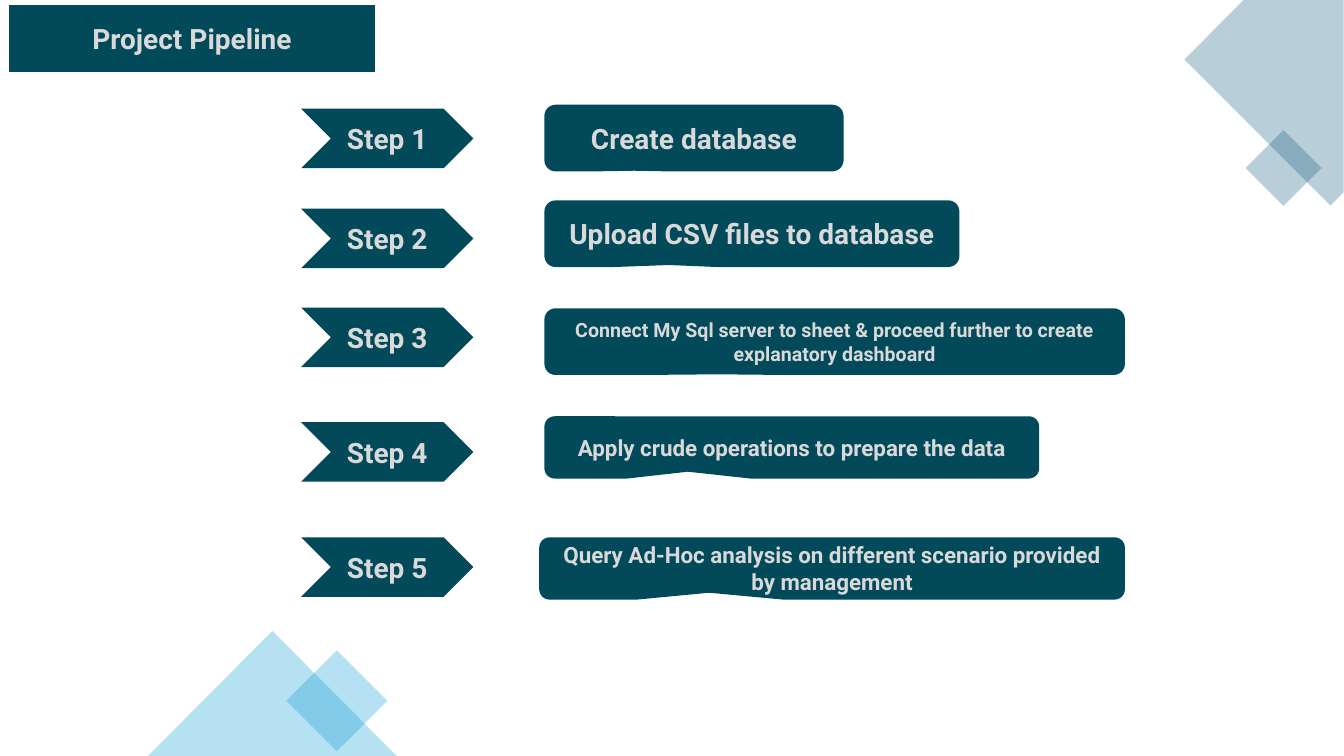
from dataclasses import dataclass

from lxml.etree import SubElement
from pptx import Presentation
from pptx.dml.color import RGBColor
from pptx.enum.shapes import MSO_SHAPE as Preset
from pptx.enum.text import MSO_ANCHOR, MSO_AUTO_SIZE, PP_ALIGN
from pptx.oxml.ns import qn
from pptx.shapes.autoshape import Shape
from pptx.slide import Slide
from pptx.util import Cm, Pt

TEAL = RGBColor(0x02, 0x49, 0x59)
LIGHT_GREY = RGBColor(0xD9, 0xD9, 0xD9)
SLATE_BLUE = RGBColor(0x15, 0x60, 0x82)
SKY_BLUE = RGBColor(0x0F, 0x9E, 0xD5)
FONT = "Roboto"

CHEVRON_LEFT, CHEVRON_WIDTH, CHEVRON_HEIGHT = 7.59, 4.34, 1.5
CORNER_OUTLINE = [(33.86, 0), (31.34, 0), (29.85, 1.5), (33.53, 5.18), (33.86, 4.85)]


@dataclass(frozen=True)
class Frame:
    """Place and size in centimetres."""
    left: float
    top: float
    width: float
    height: float

    def lengths(self) -> tuple[Cm, Cm, Cm, Cm]:
        return Cm(self.left), Cm(self.top), Cm(self.width), Cm(self.height)


@dataclass(frozen=True)
class Step:
    chevron_top: float
    callout: Frame
    text: str
    size: int
    tail: tuple[float, float]


@dataclass(frozen=True)
class Ornament:
    preset: Preset
    frame: Frame
    color: RGBColor
    rotation: int = 0


TITLE_FRAME = Frame(0.23, 0.13, 9.22, 1.68)

STEPS = [
    Step(2.74, Frame(13.72, 2.64, 7.54, 1.68), "Create database", 20, (-0.2, 0.49)),
    Step(5.26, Frame(13.72, 5.05, 10.46, 1.68), "Upload CSV files to database", 20,
         (-0.2, 0.47)),
    Step(7.75, Frame(13.72, 7.77, 14.63, 1.68),
         "Connect My Sql server to sheet & proceed further to create explanatory dashboard",
         14, (-0.2, 0.49)),
    Step(10.64, Frame(13.72, 10.49, 12.47, 1.57),
         "Apply crude operations to prepare the data", 16, (-0.21, 0.39)),
    Step(13.54, Frame(13.59, 13.54, 14.76, 1.57),
         "Query Ad-Hoc analysis on different scenario provided by management", 16,
         (-0.21, 0.39)),
]

ORNAMENTS = [
    Ornament(Preset.RECTANGLE, Frame(31.67, 3.56, 1.35, 1.35), SLATE_BLUE, 45),
    Ornament(Preset.RECTANGLE, Frame(7.59, 16.76, 1.8, 1.8), SKY_BLUE, 45),
    Ornament(Preset.ISOSCELES_TRIANGLE, Frame(3.73, 15.9, 6.27, 3.15), SKY_BLUE),
]


def paint(shape: Shape, color: RGBColor, opacity: int = 100) -> None:
    """Give a flat fill, with opacity in percent, and no line or shadow."""
    shape.shadow.inherit = False
    shape.fill.solid()
    shape.fill.fore_color.rgb = color
    shape.line.fill.background()
    if opacity < 100:
        swatch = shape._element.spPr.find(f"{qn('a:solidFill')}/{qn('a:srgbClr')}")
        SubElement(swatch, qn("a:alpha")).set("val", str(opacity * 1000))


def write(shape: Shape, text: str, size: int) -> None:
    frame = shape.text_frame
    frame.word_wrap = True
    frame.auto_size = MSO_AUTO_SIZE.NONE
    frame.vertical_anchor = MSO_ANCHOR.MIDDLE
    para = frame.paragraphs[0]
    para.alignment = PP_ALIGN.CENTER
    span = para.add_run()
    span.text = text
    span.font.name = FONT
    span.font.size = Pt(size)
    span.font.bold = True
    span.font.color.rgb = LIGHT_GREY


def add_title(page: Slide, text: str) -> None:
    title = page.shapes.title
    title.left, title.top, title.width, title.height = TITLE_FRAME.lengths()
    outline = SubElement(title._element.spPr, qn("a:prstGeom"))
    outline.set("prst", "roundRect")
    SubElement(outline, qn("a:avLst"))
    paint(title, TEAL)
    write(title, text, 20)


def add_label(page: Slide, preset: Preset, frame: Frame, text: str, size: int) -> Shape:
    box = page.shapes.add_shape(preset, *frame.lengths())
    paint(box, TEAL)
    write(box, text, size)
    return box


def add_step(page: Slide, number: int, step: Step) -> None:
    chevron = Frame(CHEVRON_LEFT, step.chevron_top, CHEVRON_WIDTH, CHEVRON_HEIGHT)
    add_label(page, Preset.CHEVRON, chevron, f"Step {number}", 20)
    callout = add_label(page, Preset.ROUNDED_RECTANGULAR_CALLOUT, step.callout,
                        step.text, step.size)
    callout.adjustments[0], callout.adjustments[1] = step.tail


def add_ornaments(page: Slide) -> None:
    start, *others = [(Cm(x), Cm(y)) for x, y in CORNER_OUTLINE]
    builder = page.shapes.build_freeform(*start)
    builder.add_line_segments(others, close=True)
    paint(builder.convert_to_shape(), SLATE_BLUE, 30)
    for ornament in ORNAMENTS:
        shape = page.shapes.add_shape(ornament.preset, *ornament.frame.lengths())
        shape.rotation = ornament.rotation
        paint(shape, ornament.color, 30)


def main() -> None:
    deck = Presentation()
    deck.slide_width, deck.slide_height = Cm(33.87), Cm(19.05)
    page = deck.slides.add_slide(deck.slide_layouts.get_by_name("Title Only"))
    add_ornaments(page)
    add_title(page, "Project Pipeline")
    for number, step in enumerate(STEPS, start=1):
        add_step(page, number, step)
    deck.save("out.pptx")


if __name__ == "__main__":
    main()
